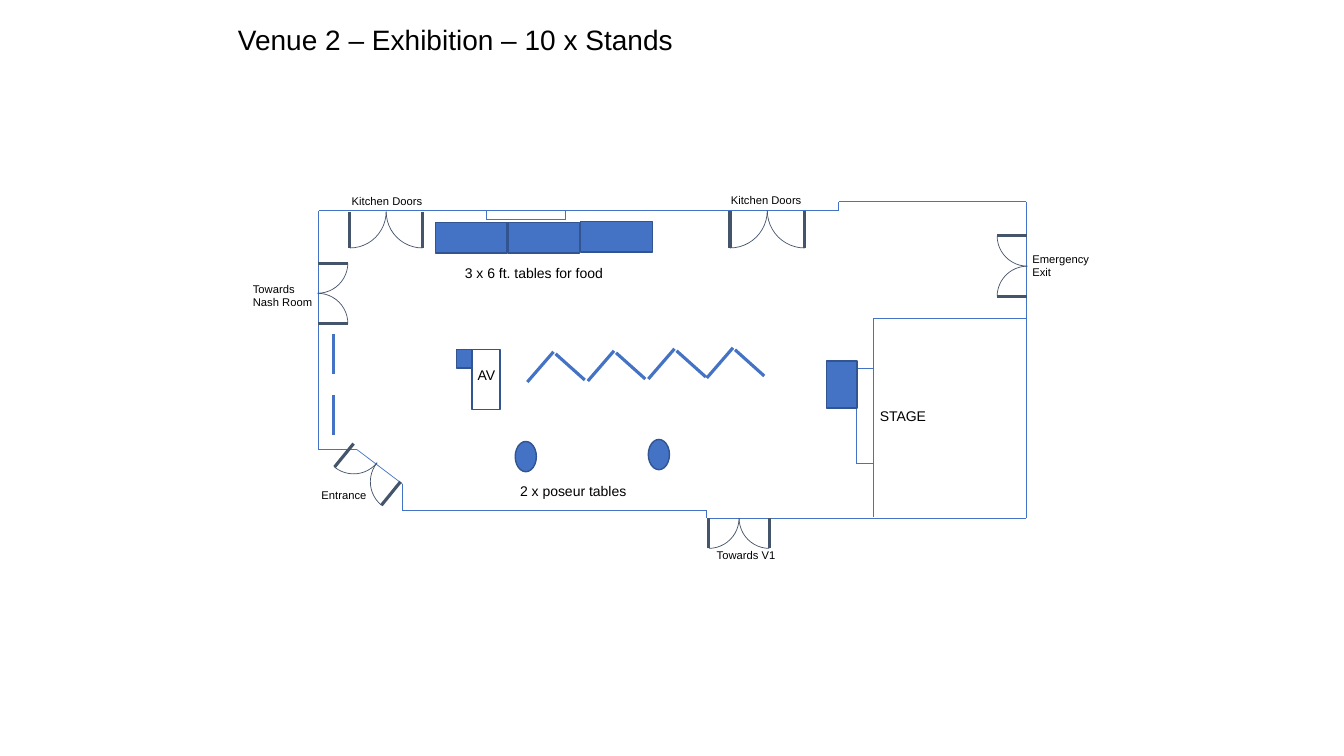
from itertools import pairwise
from math import cos, radians, sin

from lxml import etree
from pptx import Presentation
from pptx.dml.color import RGBColor
from pptx.enum.shapes import MSO_CONNECTOR, MSO_SHAPE
from pptx.enum.text import MSO_ANCHOR, PP_ALIGN
from pptx.oxml.ns import qn
from pptx.util import Inches, Pt

STRAIGHT = MSO_CONNECTOR.STRAIGHT
RECT, OVAL, ARC = MSO_SHAPE.RECTANGLE, MSO_SHAPE.OVAL, MSO_SHAPE.ARC
LEFT, CENTER = PP_ALIGN.LEFT, PP_ALIGN.CENTER
TOP = MSO_ANCHOR.TOP

COLORS = {"blue": "4472C4", "edge": "325491", "door": "44546A", "text": "000000"}
THIN, THICK = 0.5, 2.25


def color(name):
    return RGBColor.from_string(COLORS[name])


def write(frame, text, size=10, align=LEFT):
    frame.word_wrap = True
    frame.vertical_anchor = TOP
    para = frame.paragraphs[0]
    para.alignment = align
    run = para.add_run()
    run.text = text
    run.font.name = "Arial"
    run.font.size = Pt(size)
    run.font.color.rgb = color("text")


def label(slide, text, x, y, w, h, **form):
    box = slide.shapes.add_textbox(*map(Inches, (x, y, w, h)))
    write(box.text_frame, text, **form)


def line(slide, start, end, ink="blue", width=THIN):
    link = slide.shapes.add_connector(STRAIGHT, *map(Inches, (*start, *end)))
    link.line.color.rgb = color(ink)
    link.line.width = Pt(width)
    etree.SubElement(link._element.spPr, qn("a:effectLst"))


def chain(slide, x, y, points):
    """Join points, given relative to x and y, with thin lines."""
    for start, end in pairwise((x + dx, y + dy) for dx, dy in points):
        line(slide, start, end)


def shape(slide, kind, x, y, w, h, fill="blue", ink="edge", width=1):
    item = slide.shapes.add_shape(kind, *map(Inches, (x, y, w, h)))
    item.shadow.inherit = False
    if fill:
        item.fill.solid()
        item.fill.fore_color.rgb = color(fill)
    else:
        item.fill.background()
    item.line.color.rgb = color(ink)
    item.line.width = Pt(width)
    return item


def title(slide, text, x, y, w, h):
    head = slide.shapes.title
    head.left, head.top, head.width, head.height = map(Inches, (x, y, w, h))
    write(head.text_frame, text, size=20)


def walls(slide, x, y):
    chain(slide, x, y, [
        (0.38, 2.46), (0, 2.46), (0, 0.09), (5.16, 0.09), (5.16, 0), (7.02, 0),
        (7.02, 3.14), (3.85, 3.14), (3.85, 3.06), (0.83, 3.06), (0.83, 2.8),
        (0.38, 2.46)])
    chain(slide, x, y, [(1.66, 0.09), (1.66, 0.18), (2.45, 0.18), (2.45, 0.09)])


def stage(slide, x, y):
    chain(slide, x, y, [(0, 1.97), (0, 0), (1.52, 0)])
    chain(slide, x, y, [(0, 0.49), (-0.17, 0.49), (-0.17, 1.44), (0, 1.44)])
    label(slide, "STAGE", x - 0.42, y + 0.83, 1.43, 0.27, align=CENTER)
    shape(slide, RECT, x - 0.46, y + 0.42, 0.3, 0.47)


def doors(slide, x, y, half, turn=0):
    """Two leaves hinged at equal distances from x, y, turned in degrees."""
    c, s = cos(radians(turn)), sin(radians(turn))
    for side in (-1, 1):
        hx, hy = x + side * half * c, y + side * half * s
        line(slide, (hx - half * s, hy + half * c), (hx, hy), "door", THICK)
        swing = shape(slide, ARC, hx - half, hy - half, 2 * half, 2 * half,
                      fill=None, ink="door", width=THIN)
        swing.rotation = (180 + turn) % 360
        if side < 0:
            swing.adjustments[0], swing.adjustments[1] = 108, 162


def sound(slide, x, y):
    shape(slide, RECT, x, y, 0.15, 0.18)
    label(slide, "AV", x - 0.42, y + 0.12, 1.43, 0.27, align=CENTER)
    shape(slide, RECT, x + 0.15, y, 0.28, 0.59, fill=None)


def food(slide, x, y):
    for i, dy in enumerate((0.01, 0.01, 0)):
        shape(slide, RECT, x + 0.72 * i, y + dy, 0.71, 0.3)
    label(slide, "3 x 6 ft. tables for food", x + 0.06, y + 0.38, 1.83, 0.27,
          align=CENTER)


def stands(slide, x, y):
    """Four folded pairs of stands, then two along the left wall."""
    for dx, dy in ((0, 0.04), (0.6, 0.03), (1.2, 0.01), (1.78, 0)):
        left, base = x + dx, y + 0.3 + dy
        line(slide, (left, base), (left + 0.26, base - 0.3), width=THICK)
        line(slide, (left + 0.28, base - 0.28), (left + 0.57, base - 0.02),
             width=THICK)
    for dy in (-0.14, 0.47):
        line(slide, (x - 1.92, y + dy), (x - 1.92, y + dy + 0.4), width=THICK)


def poseurs(slide, x, y):
    shape(slide, OVAL, x, y + 0.02, 0.21, 0.3)
    shape(slide, OVAL, x + 1.32, y, 0.21, 0.3)
    label(slide, "2 x poseur tables", x - 0.34, y + 0.38, 1.83, 0.27,
          align=CENTER)


def main():
    deck = Presentation()
    deck.slide_width, deck.slide_height = Inches(13.33), Inches(7.5)
    slide = deck.slides.add_slide(deck.slide_layouts[5])
    title(slide, "Venue 2 – Exhibition – 10 x Stands", 2.26, 0.17, 6.67, 0.44)
    walls(slide, 3.16, 2)
    stage(slide, 8.66, 3.16)
    sound(slide, 4.53, 3.47)
    for door in ((7.61, 2.09, 0.37), (3.83, 2.1, 0.36), (7.33, 5.14, 0.3),
                 (3.15, 2.91, 0.3, -90), (10.19, 2.64, 0.3, 90),
                 (3.74, 4.59, 0.3, 39.1)):
        doors(slide, *door)
    for text, *box in (("Emergency Exit", 10.14, 2.45, 0.87, 0.37),
                       ("Towards V1", 7.01, 5.39, 0.87, 0.24),
                       ("Entrance", 3.09, 4.8, 0.87, 0.23),
                       ("Towards Nash Room", 2.41, 2.75, 0.87, 0.37),
                       ("Kitchen Doors", 7.15, 1.87, 1.01, 0.24),
                       ("Kitchen Doors", 3.39, 1.88, 1.01, 0.24)):
        label(slide, text, *box, size=8)
    food(slide, 4.32, 2.2)
    stands(slide, 5.23, 3.45)
    poseurs(slide, 5.11, 4.36)
    deck.save("out.pptx")


if __name__ == "__main__":
    main()
